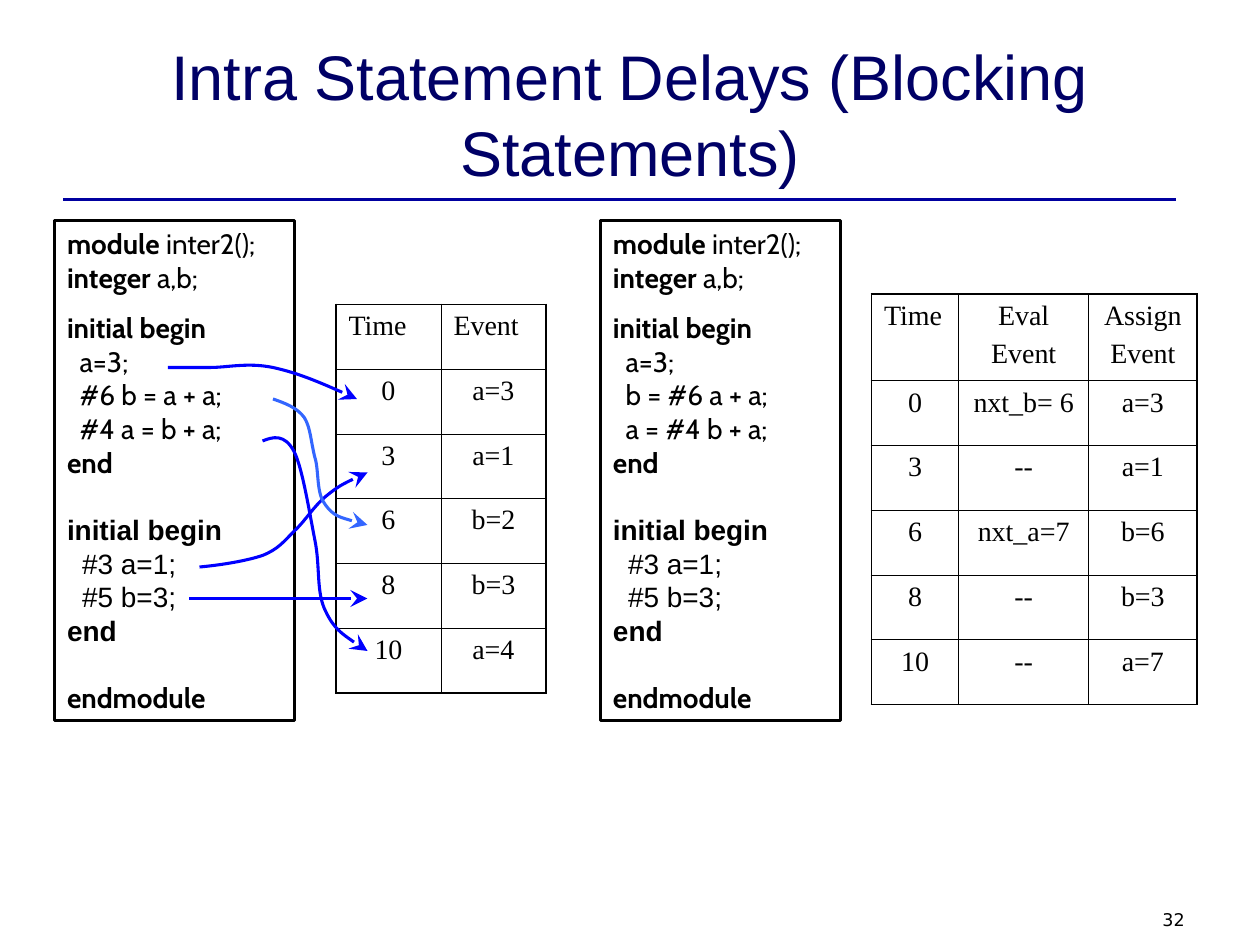
from lxml import etree
from pptx import Presentation
from pptx import util as u
from pptx.dml.color import RGBColor
from pptx.enum import shapes, text
from pptx.oxml import ns

COLORS = {"title": "000066", "rule": "0000A0", "ink": "000000",
          "arrow": "0000FF", "light_arrow": "3366FF"}
WIDTH, HEIGHT = u.Inches(10), u.Inches(7.5)
COLUMNS, ROWS = 120, 90
LEFT, CENTER, RIGHT = text.PP_ALIGN.LEFT, text.PP_ALIGN.CENTER, text.PP_ALIGN.RIGHT
TABLE_ROW = 6.17
THICK, THIN = 1.08, 0.45

# Code lines: keyword, plain text, space before in points, font
OPENING = [("module", " inter2();", 0, "Cabin"),
           ("integer", " a,b;", 0, "Cabin"),
           ("initial begin", "", 9.7, "Cabin"),
           ("", "a=3;", 0, "Cabin")]
CLOSING = [("end", "", 0, "Cabin"),
           ("initial begin", "", 19.4, "Arial"),
           ("", "#3 a=1;", 0, "Arial"),
           ("", "#5 b=3;", 0, "Arial"),
           ("end", "", 0, "Arial"),
           ("endmodule", "", 19.4, "Cabin")]

EVENTS = [("Time", "Event"), ("0", "a=3"), ("3", "a=1"),
          ("6", "b=2"), ("8", "b=3"), ("10", "a=4")]
EVALUATIONS = [("Time", "Eval\nEvent", "Assign\nEvent"), ("0", "nxt_b= 6", "a=3"),
               ("3", "--", "a=1"), ("6", "nxt_a=7", "b=6"),
               ("8", "--", "b=3"), ("10", "--", "a=7")]

# Arrow curves in grid units: a start, then three Bezier points per segment
CURVES = [
    ("arrow", [(16, 35), (17.2, 35), (18.4, 35), (20, 35), (21.7, 35), (23.6, 34.5),
               (26, 35), (28.3, 35.5), (31.2, 36.7), (34, 38)]),
    ("arrow", [(19, 54), (21.2, 53.8), (23.5, 53.4), (25, 52.9), (26.5, 52.3),
               (27, 51.6), (28, 50.6), (29, 49.7), (29.9, 48.2), (31, 47.3),
               (32.2, 46.3), (33.6, 45.6), (35, 45)]),
    ("light_arrow", [(26, 38), (27.1, 38.4), (28.3, 38.8), (29, 39.8), (29.6, 40.8),
                     (29.6, 42.1), (30, 43.6), (30.4, 44.9), (30.1, 47), (31, 48.1),
                     (31.8, 49.2), (33.4, 49.6), (35, 50)]),
    ("arrow", [(25, 42), (26, 41.6), (27.1, 41.3), (28, 43), (28.8, 44.5),
               (29.5, 49), (30, 51.5), (30.5, 54), (30.1, 56.4), (31, 58.2),
               (31.8, 59.9), (33.4, 61), (35, 62)]),
]


def x(columns):
    return round(WIDTH * columns / COLUMNS)


def y(rows):
    return round(HEIGHT * rows / ROWS)


def place(left, top, width, height):
    return x(left), y(top), x(width), y(height)


def rgb(name):
    return RGBColor.from_string(COLORS[name])


def write(paragraph, words, font="Arial", size=16, color="ink", bold=False,
          align=LEFT, before=0, indent=0):
    paragraph.alignment = align
    paragraph.space_before = u.Pt(before)
    if indent:
        properties = paragraph._p.get_or_add_pPr()
        properties.set("marL", str(u.Inches(indent)))
        properties.set("indent", "0")
    run = paragraph.add_run()
    run.text = words
    run.font.name, run.font.size, run.font.bold = font, u.Pt(size), bold
    run.font.color.rgb = rgb(color)


def add_label(slide, box, words, anchor=text.MSO_ANCHOR.TOP, **style):
    frame = slide.shapes.add_textbox(*place(*box)).text_frame
    frame.word_wrap = True
    frame.vertical_anchor = anchor
    write(frame.paragraphs[0], words, **style)


def add_line(slide, start, end, color, width):
    line = slide.shapes.add_connector(shapes.MSO_CONNECTOR.STRAIGHT,
                                      x(start[0]), y(start[1]), x(end[0]), y(end[1]))
    line.line.color.rgb, line.line.width = rgb(color), u.Pt(width)
    etree.SubElement(line._element.spPr, ns.qn("a:effectLst"))
    return line


def add_arrowhead(arrow):
    etree.SubElement(arrow.line._get_or_add_ln(), ns.qn("a:tailEnd"),
                     type="stealth", w="lg", len="lg")


def bend(curve):
    """Turn every three straight segments into one Bezier segment."""
    outline = curve._element.find(".//" + ns.qn("a:path"))
    segments = outline.findall(ns.qn("a:lnTo"))
    for first in range(0, len(segments), 3):
        bezier = etree.SubElement(outline, ns.qn("a:cubicBezTo"))
        for segment in segments[first:first + 3]:
            bezier.append(segment[0])
            outline.remove(segment)


def add_curve(slide, color, points):
    start, *others = [(x(px), y(py)) for px, py in points]
    builder = slide.shapes.build_freeform(*start)
    builder.add_line_segments(others, close=False)
    curve = builder.convert_to_shape()
    bend(curve)
    curve.shadow.inherit = False
    curve.fill.background()
    curve.line.color.rgb, curve.line.width = rgb(color), u.Pt(1.76)
    add_arrowhead(curve)


def add_code(slide, left, lines):
    box = slide.shapes.add_shape(shapes.MSO_SHAPE.RECTANGLE, *place(left, 21, 22.85, 47.64))
    box.shadow.inherit = False
    box.fill.background()
    box.line.color.rgb, box.line.width = rgb("ink"), u.Pt(1.76)
    frame = box.text_frame
    frame.word_wrap = True
    frame.vertical_anchor = text.MSO_ANCHOR.TOP
    for number, (keyword, plain, before, font) in enumerate(lines):
        paragraph = frame.add_paragraph() if number else frame.paragraphs[0]
        indent = 0 if keyword else {"Cabin": 0.1, "Arial": 0.12}[font]
        for words, bold in ((keyword, True), (plain, False)):
            if words:
                write(paragraph, words, font=font, bold=bold, before=before, indent=indent)


def add_borders(cell, widths):
    properties = cell._tc.get_or_add_tcPr()
    for position, (side, width) in enumerate(widths.items()):
        edge = etree.Element(ns.qn("a:ln" + side), w=str(u.Pt(width)))
        fill = etree.SubElement(edge, ns.qn("a:solidFill"))
        etree.SubElement(fill, ns.qn("a:srgbClr"), val=COLORS["ink"])
        properties.insert(position, edge)


def add_timeline(slide, left, top, widths, heights, records, centered_head):
    table = slide.shapes.add_table(len(heights), len(widths),
                                   *place(left, top, sum(widths), sum(heights))).table
    table.first_row = table.horz_banding = False
    for column, width in zip(table.columns, widths):
        column.width = x(width)
    for i, (height, record) in enumerate(zip(heights, records)):
        table.rows[i].height = y(height)
        for j, words in enumerate(record):
            cell = table.cell(i, j)
            cell.fill.background()
            add_borders(cell, {"L": THIN if j else THICK,
                               "R": THICK if j == len(widths) - 1 else THIN,
                               "T": THIN if i else THICK,
                               "B": THICK if i == len(heights) - 1 else THIN})
            align = CENTER if i or (j and centered_head) else LEFT
            frame = cell.text_frame
            for number, part in enumerate(words.split("\n")):
                paragraph = frame.add_paragraph() if number else frame.paragraphs[0]
                write(paragraph, part, font="Times New Roman", align=align, before=4)


def main():
    deck = Presentation()
    deck.slide_width, deck.slide_height = WIDTH, HEIGHT
    slide = deck.slides.add_slide(deck.slide_layouts[6])

    # Heading and page number
    add_line(slide, (6, 19), (112, 19), "rule", 1.5)
    add_label(slide, (86, 86, 28, 3), "32", font="DejaVu Sans", size=10, align=RIGHT)
    add_label(slide, (6, 3.6, 108, 15), "Intra Statement Delays (Blocking Statements)",
              anchor=text.MSO_ANCHOR.BOTTOM, size=36, color="title", align=CENTER)

    # Delay before the statement
    add_timeline(slide, 32, 29, [10, 10], [TABLE_ROW] * 6, EVENTS, False)
    delayed = [("", "#6 b = a + a;", 0, "Cabin"), ("", "#4 a = b + a;", 0, "Cabin")]
    add_code(slide, 5.2, OPENING + delayed + CLOSING)

    # Arrows from statements to events
    for color, points in CURVES:
        add_curve(slide, color, points)
    add_arrowhead(add_line(slide, (18, 57), (35, 57), "arrow", 1.76))

    # Delay inside the statement
    intra = [("", "b = #6 a + a;", 0, "Cabin"), ("", "a = #4 b + a;", 0, "Cabin")]
    add_code(slide, 57.2, OPENING + intra + CLOSING)
    add_timeline(slide, 83, 28, [8.3, 12.4, 10.3], [8.2] + [TABLE_ROW] * 5,
                 EVALUATIONS, True)

    deck.save("out.pptx")


main()
